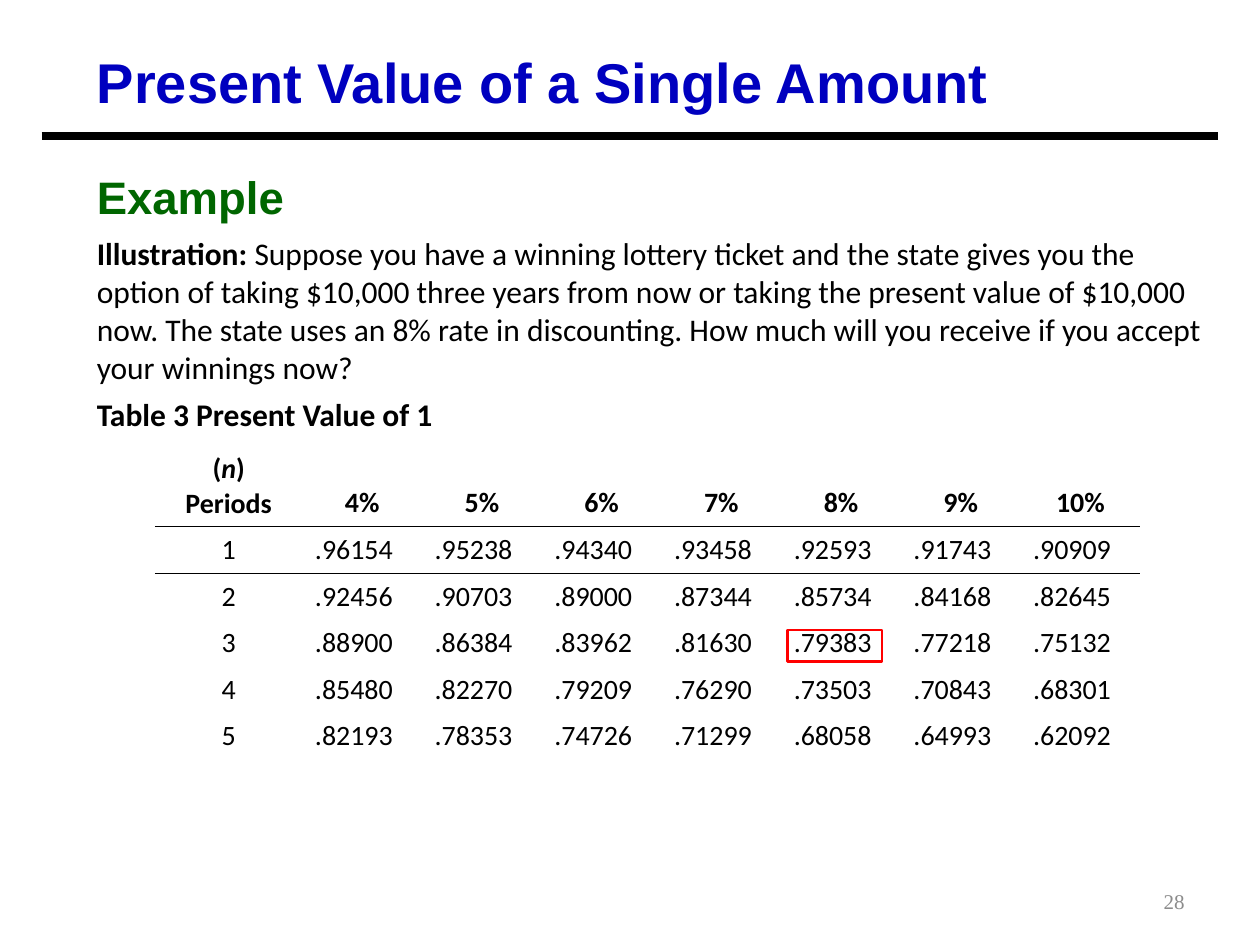
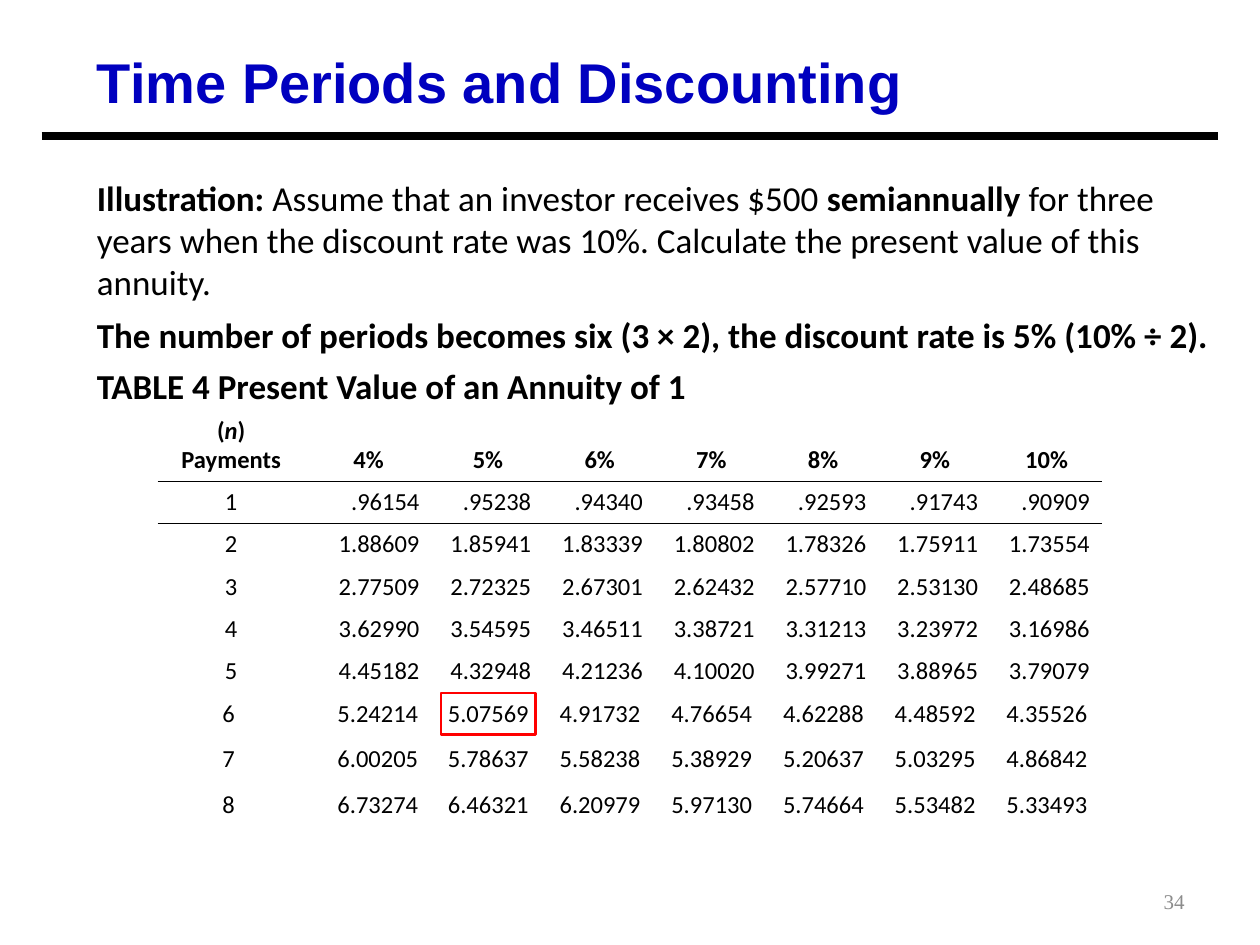
from dataclasses import dataclass
from typing import Any, NamedTuple

from lxml import etree
from pptx import Presentation
from pptx import util as u
from pptx.dml.color import RGBColor
from pptx.enum import shapes, text
from pptx.oxml import ns

BLUE = RGBColor(0x00, 0x00, 0xBF)
GREEN = RGBColor(0x00, 0x66, 0x00)
BLACK = RGBColor(0x00, 0x00, 0x00)
GRAY = RGBColor(0x8C, 0x8C, 0x8C)
RED = RGBColor(0xFF, 0x00, 0x00)

# Shared text styles
HEAD = {"name": "Arial", "size": u.Pt(32), "bold": True}
SUBHEAD = HEAD | {"size": u.Pt(26)}
BODY = {"name": "Calibri"}
PAGE = {"name": "Times New Roman", "size": u.Pt(12)}

LEFT, RIGHT = text.PP_ALIGN.LEFT, text.PP_ALIGN.RIGHT
CENTER = text.PP_ALIGN.CENTER
TOP, MIDDLE = text.MSO_ANCHOR.TOP, text.MSO_ANCHOR.MIDDLE
BOTTOM = text.MSO_ANCHOR.BOTTOM
NO_STYLE = "{2D5ABB26-0587-4C30-8999-92F81FD0307C}"


class Run(NamedTuple):
    words: str
    bold: bool = False
    italic: bool = False


class Box(NamedTuple):
    left: float
    top: float
    width: float
    height: float

    def inches(self) -> list[u.Length]:
        return [u.Inches(v) for v in self]


class Para(NamedTuple):
    runs: list[Run]
    before: float = 0


class Inset(NamedTuple):
    """Cell margins of one row: first cell, then second, then the rest."""
    label: tuple[float, float] = (0.1, 0.1)
    lead: tuple[float, float] = (0.1, 0.1)
    rest: tuple[float, float] = (0.1, 0.1)
    edge: float = 0.05

    def sides(self, col: int) -> tuple[float, float]:
        return self[min(col, 2)]


@dataclass
class Grid:
    box: Box
    size: int
    unit: str
    wide: list[float]  # leading widths; the other columns share what is left
    head: float
    rows: str
    align: Any
    mark: Box
    tall: float
    loose: int = 99  # first body row with looser margins
    slack: float = 0


@dataclass
class Page:
    title: str
    number: int
    box: Box
    size: int
    paras: list[Para]
    grid: Grid
    topic: str = ""


RATES = "4% 5% 6% 7% 8% 9% 10%".split()
LOOSE = Inset((0.21, 0.25), (0, 0.11), (0, 0.12), 0.06)

PAGES = [
    Page(
        "Present Value of a Single Amount", 28, Box(0.67, 1.81, 9, 1.82), 18,
        [
            Para([
                Run("Illustration: ", True),
                Run("Suppose you have a winning lottery ticket and the state "
                    "gives you the option of taking $10,000 three years from "
                    "now or taking the present value of $10,000 now. The state "
                    "uses an 8% rate in discounting. How much will you receive "
                    "if you accept your winnings now?"),
            ]),
            Para([Run("Table 3 Present Value of 1", True)], 5.5),
        ],
        Grid(
            Box(1.23, 3.54, 7.82, 2.47), 16, "Periods", [1.17], 0.64,
            """.96154 .95238 .94340 .93458 .92593 .91743 .90909
            .92456 .90703 .89000 .87344 .85734 .84168 .82645
            .88900 .86384 .83962 .81630 .79383 .77218 .75132
            .85480 .82270 .79209 .76290 .73503 .70843 .68301
            .82193 .78353 .74726 .71299 .68058 .64993 .62092""",
            LEFT, Box(6.25, 5, 0.75, 0.25), 0.37),
        "Example"),
    Page(
        "Time Periods and Discounting", 34, Box(0.67, 1.35, 9.08, 1.9), 20,
        [
            Para([
                Run("Illustration:", True),
                Run(" Assume that an investor receives $500 "),
                Run("semiannually ", True),
                Run("for three years when the discount rate was 10%. "
                    "Calculate the present value of this annuity."),
            ]),
            Para([Run("The number of periods becomes six (3 × 2), the "
                      "discount rate is 5% (10% ÷ 2).", True)], 6.2),
            Para([Run("TABLE 4 Present Value of an Annuity of 1", True)], 5.5),
        ],
        Grid(
            Box(1.25, 3.25, 7.5, 3.31), 14, "Payments", [1.17, 1.01], 0.57,
            """.96154 .95238 .94340 .93458 .92593 .91743 .90909
            1.88609 1.85941 1.83339 1.80802 1.78326 1.75911 1.73554
            2.77509 2.72325 2.67301 2.62432 2.57710 2.53130 2.48685
            3.62990 3.54595 3.46511 3.38721 3.31213 3.23972 3.16986
            4.45182 4.32948 4.21236 4.10020 3.99271 3.88965 3.79079
            5.24214 5.07569 4.91732 4.76654 4.62288 4.48592 4.35526
            6.00205 5.78637 5.58238 5.38929 5.20637 5.03295 4.86842
            6.73274 6.46321 6.20979 5.97130 5.74664 5.53482 5.33493""",
            RIGHT, Box(3.5, 5.5, 0.75, 0.33), 0.33, 6, 0.03)),
]


def put(item: Any, vals: dict[str, Any]) -> None:
    for key, val in vals.items():
        setattr(item, key, val)


def fill_para(para: Any, runs: list[Run], style: dict, color: RGBColor) -> None:
    for part in runs:
        run = para.add_run()
        run.text = part.words
        put(run.font, {"bold": part.bold, "italic": part.italic} | style)
        run.font.color.rgb = color


def add_text(slide: Any, box: Box, paras: list[Para], style: dict,
             color: RGBColor, align: Any = LEFT, anchor: Any = TOP) -> None:
    frame = slide.shapes.add_textbox(*box.inches()).text_frame
    put(frame, {"word_wrap": True, "vertical_anchor": anchor})
    for i, item in enumerate(paras):
        para = frame.add_paragraph() if i else frame.paragraphs[0]
        para.alignment = align
        if item.before:
            para.space_before = u.Pt(item.before)
        fill_para(para, item.runs, style, color)


def add_rule(slide: Any) -> None:
    ends = [u.Inches(v) for v in (0.33, 1.08, 9.67, 1.08)]
    rule = slide.shapes.add_connector(shapes.MSO_CONNECTOR.STRAIGHT, *ends)
    rule.line.color.rgb = BLACK
    rule.line.width = u.Pt(4.5)
    etree.SubElement(rule._element.spPr, ns.qn("a:effectLst"))


def add_border(cell: Any, side: str) -> None:
    edge = etree.Element(ns.qn(f"a:{side}"), w=str(u.Pt(1)))
    fill = etree.SubElement(edge, ns.qn("a:solidFill"))
    etree.SubElement(fill, ns.qn("a:srgbClr"), val=str(BLACK))
    cell._tc.get_or_add_tcPr().insert(0, edge)


def add_grid(slide: Any, grid: Grid) -> None:
    body = [[str(n), *line.split()]
            for n, line in enumerate(grid.rows.splitlines(), 1)]
    count = len(RATES) + 1
    frame = slide.shapes.add_table(len(body) + 1, count, *grid.box.inches())
    table = frame.table
    put(table, {"first_row": False, "horz_banding": False})
    next(frame._element.iter(ns.qn("a:tableStyleId"))).text = NO_STYLE

    # Column widths and row heights
    share = (grid.box.width - sum(grid.wide)) / (count - len(grid.wide))
    for i, col in enumerate(table.columns):
        col.width = u.Inches(grid.wide[i] if i < len(grid.wide) else share)
    for i, row in enumerate(table.rows):
        tall = grid.tall + (grid.slack if i >= grid.loose else 0)
        row.height = u.Inches(tall if i else grid.head)

    # Heading row, then values
    label = [Run("(", True), Run("n", True, True), Run(f") {grid.unit}", True)]
    heads = [label] + [[Run(rate, True)] for rate in RATES]
    lines = [heads] + [[[Run(val)] for val in row] for row in body]
    style = BODY | {"size": u.Pt(grid.size)}
    for r, line in enumerate(lines):
        inset = LOOSE if r >= grid.loose else Inset()
        for c, runs in enumerate(line):
            cell = table.cell(r, c)
            left, right = inset.sides(c)
            put(cell, {
                "margin_left": u.Inches(left),
                "margin_right": u.Inches(right),
                "margin_top": u.Inches(inset.edge),
                "margin_bottom": u.Inches(inset.edge),
                "vertical_anchor": TOP if r else BOTTOM,
            })
            para = cell.text_frame.paragraphs[0]
            para.alignment = grid.align if r and c else CENTER
            if r:
                para.space_after = u.Pt(3)
            fill_para(para, runs, style, BLACK)
            cell.fill.background()
            if r < 2:
                add_border(cell, "lnT" if r else "lnB")


def add_mark(slide: Any, box: Box) -> None:
    mark = slide.shapes.add_shape(shapes.MSO_SHAPE.RECTANGLE, *box.inches())
    mark.shadow.inherit = False
    mark.fill.background()
    mark.line.color.rgb = RED
    mark.line.width = u.Pt(1.5)


def add_page(deck: Any, page: Page) -> None:
    slide = deck.slides.add_slide(deck.slide_layouts[6])
    # Title, rule and page number
    add_text(slide, Box(0.67, 0.33, 8.33, 0.61), [Para([Run(page.title)])],
             HEAD, BLUE)
    add_rule(slide)
    add_text(slide, Box(7.17, 6.95, 2.33, 0.4), [Para([Run(str(page.number))])],
             PAGE, GRAY, RIGHT, MIDDLE)
    # Problem text
    if page.topic:
        add_text(slide, Box(0.67, 1.29, 9, 0.54), [Para([Run(page.topic)])],
                 SUBHEAD, GREEN)
    add_text(slide, page.box, page.paras, BODY | {"size": u.Pt(page.size)},
             BLACK)
    # Factor table with the wanted factor boxed
    add_grid(slide, page.grid)
    add_mark(slide, page.grid.mark)


def main() -> None:
    deck = Presentation()
    put(deck, {"slide_width": u.Inches(10), "slide_height": u.Inches(7.5)})
    for page in PAGES:
        add_page(deck, page)
    deck.save("out.pptx")


if __name__ == "__main__":
    main()
